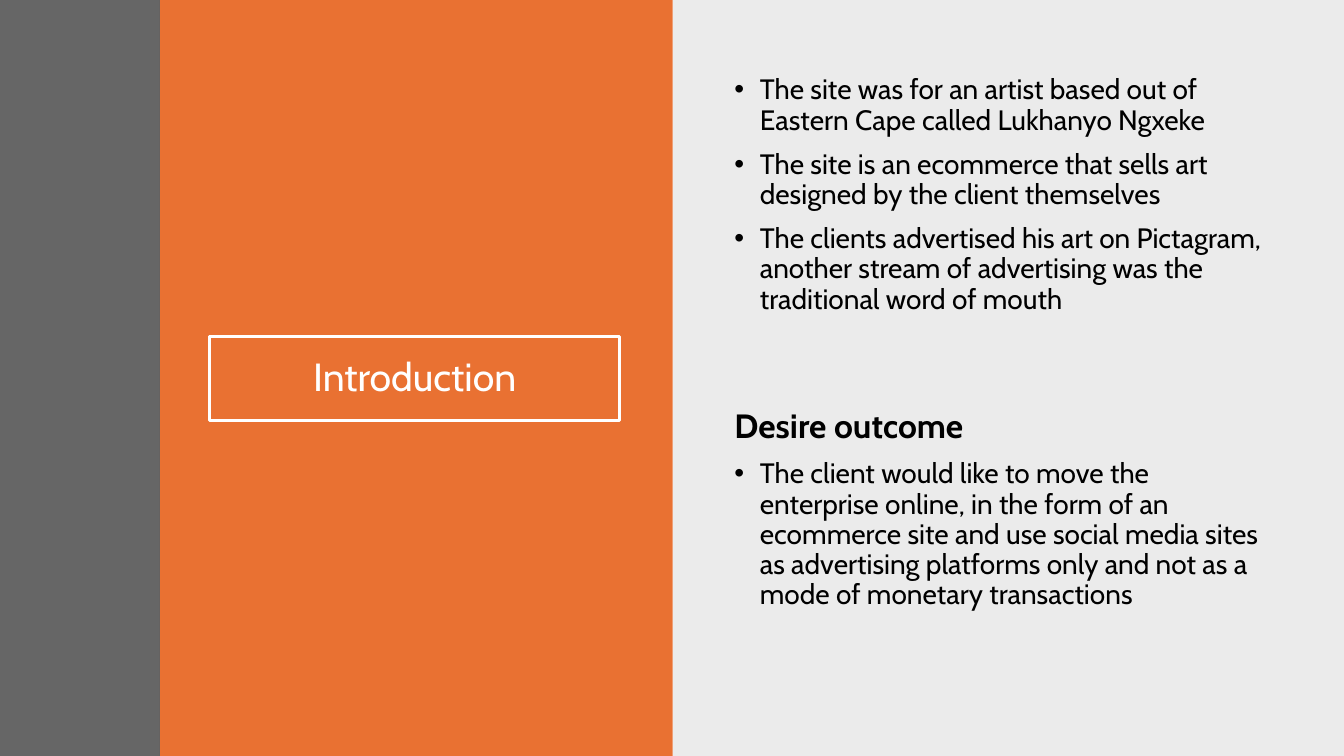
from lxml import etree
from pptx import Presentation
from pptx.dml.color import RGBColor
from pptx.enum.shapes import MSO_SHAPE
from pptx.enum.text import MSO_ANCHOR, MSO_AUTO_SIZE, PP_ALIGN
from pptx.oxml.ns import qn
from pptx.util import Cm, Pt

RECTANGLE = MSO_SHAPE.RECTANGLE
MIDDLE = MSO_ANCHOR.MIDDLE
NO_AUTOFIT = MSO_AUTO_SIZE.NONE
CENTER = PP_ALIGN.CENTER
LEFT = PP_ALIGN.LEFT

COLORS = {
    "text": "000000",
    "title": "FFFFFF",
    "orange": "E97132",
    "gray": "404040",
    "shade": "000000",
}
SLIDE_WIDTH, SLIDE_HEIGHT = 33.87, 19.05
GRAY_WIDTH = 4.03
MIDLINE = 16.95
TEXT_LEFT, TEXT_WIDTH, TEXT_HEIGHT = 18.26, 14.05, 7.09

SITE_POINTS = [
    "The site was for an artist based out of Eastern Cape called Lukhanyo Ngxeke",
    "The site is an ecommerce that sells art designed by the client themselves",
    "The clients advertised his art on Pictagram, another stream of advertising "
    "was the traditional word of mouth",
]
OUTCOME_POINTS = [
    "The client would like to move the enterprise online, in the form of an "
    "ecommerce site and use social media sites as advertising platforms only "
    "and not as a mode of monetary transactions",
]


class SlideBuilder:
    """Holds the text style and the current slide, and adds its elements."""

    font_name = "Cabin"
    line_spacing = 0.9
    indent = Cm(0.64)

    def __init__(self, deck):
        self.slide = deck.slides.add_slide(deck.slide_layouts[5])

    def color(self, name):
        return RGBColor.from_string(COLORS[name])

    def style(self, para, size, color, bold=False, align=LEFT):
        para.alignment = align
        para.line_spacing = self.line_spacing
        para.font.name = self.font_name
        para.font.size = Pt(size)
        para.font.bold = bold
        para.font.color.rgb = self.color(color)

    def title(self, text, left, top, width, height):
        box = self.slide.shapes.title
        box.left, box.top, box.width, box.height = map(Cm, (left, top, width, height))
        box.line.color.rgb = self.color("title")
        box.line.width = Pt(2)
        frame = box.text_frame
        frame.text = text
        frame.word_wrap = True
        frame.auto_size = NO_AUTOFIT
        frame.vertical_anchor = MIDDLE
        self.style(frame.paragraphs[0], 28, "title", align=CENTER)

    def panel(self, left, width, color, opacity=100):
        panel = self.slide.shapes.add_shape(
            RECTANGLE, Cm(left), Cm(0), Cm(width), Cm(SLIDE_HEIGHT))
        panel.shadow.inherit = False
        panel.line.fill.background()
        panel.fill.solid()
        panel.fill.fore_color.rgb = self.color(color)
        if opacity < 100:
            tint = panel.element.spPr.find(f"{qn('a:solidFill')}/{qn('a:srgbClr')}")
            etree.SubElement(tint, qn("a:alpha"), val=str(opacity * 1000))
        self.slide.shapes.title.element.addprevious(panel.element)

    def bullet(self, para):
        properties = para._p.get_or_add_pPr()
        properties.set("marL", str(self.indent))
        properties.set("indent", str(-self.indent))
        etree.SubElement(properties, qn("a:buFont"), typeface="Arial")
        etree.SubElement(properties, qn("a:buChar"), char="•")

    def text_block(self, top, points, heading=None):
        box = self.slide.shapes.add_textbox(
            Cm(TEXT_LEFT), Cm(top), Cm(TEXT_WIDTH), Cm(TEXT_HEIGHT))
        frame = box.text_frame
        frame.word_wrap = True
        lines = [heading, *points] if heading else points
        for index, line in enumerate(lines):
            para = frame.add_paragraph() if index else frame.paragraphs[0]
            para.text = line
            para.space_before = Pt(10)
            if line == heading:
                self.style(para, 24, "text", bold=True)
            else:
                self.style(para, 20, "text")
                self.bullet(para)


def main():
    deck = Presentation()
    deck.slide_width, deck.slide_height = Cm(SLIDE_WIDTH), Cm(SLIDE_HEIGHT)
    builder = SlideBuilder(deck)
    builder.panel(MIDLINE, SLIDE_WIDTH - MIDLINE, "shade", opacity=8)
    builder.panel(GRAY_WIDTH, MIDLINE - GRAY_WIDTH, "orange")
    builder.panel(0, GRAY_WIDTH, "gray", opacity=80)
    builder.title("Introduction", 5.28, 8.48, 10.34, 2.11)
    builder.text_block(1.78, SITE_POINTS)
    builder.text_block(10.19, OUTCOME_POINTS, heading="Desire outcome")
    deck.save("out.pptx")


if __name__ == "__main__":
    main()
